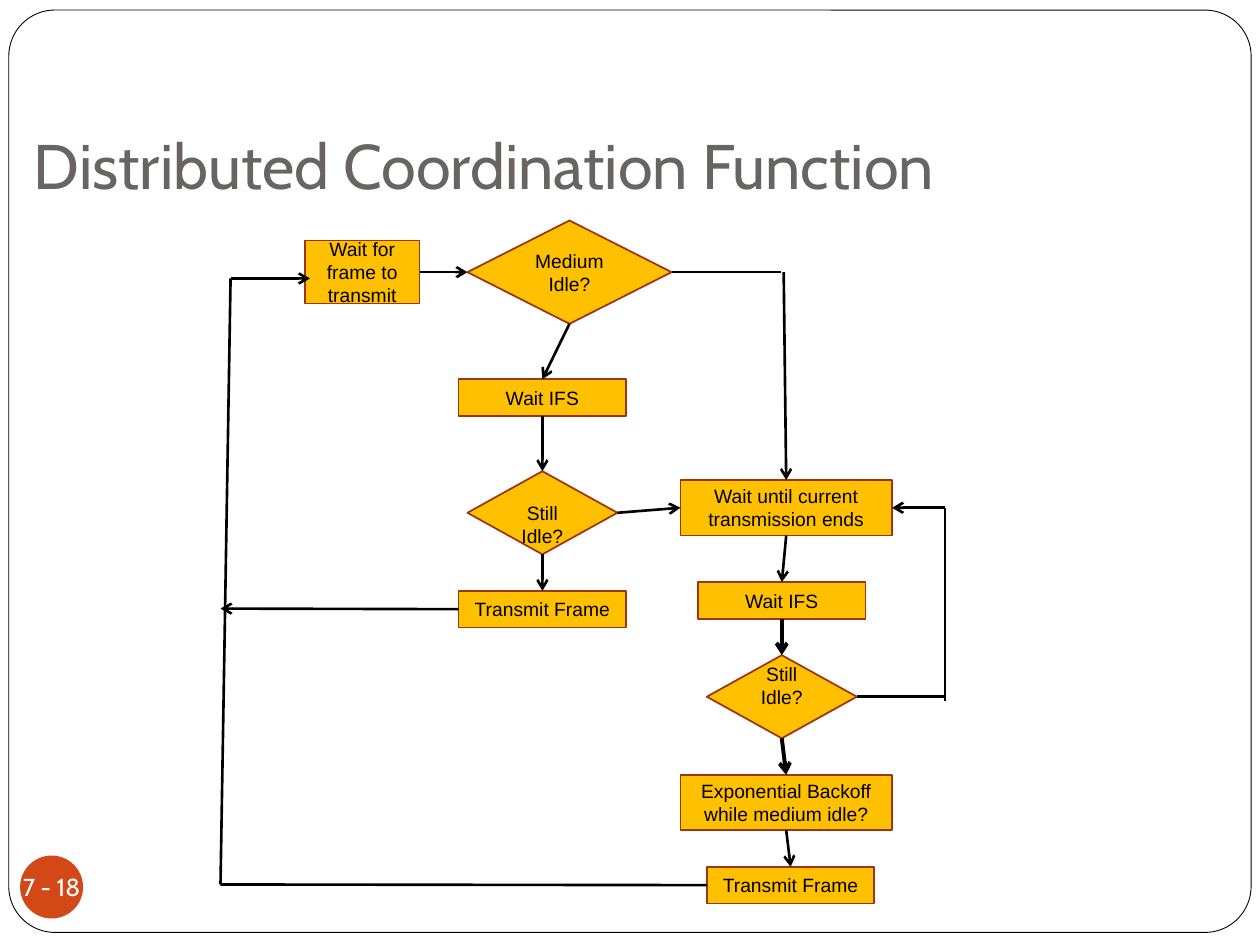
from lxml.etree import SubElement
from pptx import Presentation
from pptx.dml.color import RGBColor
from pptx.enum.shapes import MSO_CONNECTOR as Connector, MSO_SHAPE as Shape
from pptx.enum.text import MSO_ANCHOR as Anchor, PP_ALIGN as Align
from pptx.oxml.ns import qn
from pptx.util import Inches, Pt

THEME = {
    "white": "FFFFFF", "black": "000000", "title": "696464",
    "badge": "D34817", "node": "FFC000", "node_line": "9C3511",
    "heading_font": "Cabin", "node_font": "Arial",
    "title_size": 36, "badge_size": 14, "node_size": 11,
    "frame_width": 0.5, "node_width": 1, "arrow_width": 1.5, "thick_width": 2.25,
}
TITLE = "Distributed Coordination Function"
PAGE = "7 - 18"

PROCESS, DECISION = Shape.FLOWCHART_PROCESS, Shape.FLOWCHART_DECISION
SMALL, WIDE, DIAMOND = (1.33, 0.29), (1.68, 0.44), (1.19, 0.66)
LOWERED, RAISED = {"margin_top": 0.23}, {"margin_bottom": 0.23}

# name: (preset, left and top, size, paragraphs, margins in inches)
NODES = {
    "frame": (PROCESS, (2.42, 1.91), (0.91, 0.5), ["Wait for frame to transmit"], {}),
    "medium": (DECISION, (3.71, 1.75), (1.62, 0.82), ["Medium Idle?"], {}),
    "first wait": (PROCESS, (3.64, 3.01), SMALL, ["Wait IFS"], {}),
    "busy": (PROCESS, (5.4, 3.81), WIDE, ["Wait until current transmission ends"], {}),
    "second check": (DECISION, (5.61, 5.2), DIAMOND, ["Still", "Idle?"], RAISED),
    "first check": (DECISION, (3.71, 3.74), DIAMOND, ["Still", "Idle?"], LOWERED),
    "first send": (PROCESS, (3.64, 4.69), SMALL, ["Transmit Frame"], {}),
    "second wait": (PROCESS, (5.54, 4.62), SMALL, ["Wait IFS"], {}),
    "second send": (PROCESS, (5.61, 6.88), SMALL, ["Transmit Frame"], {}),
    "backoff": (PROCESS, (5.4, 6.15), WIDE, ["Exponential Backoff", "while medium idle?"], {}),
}
# Connection sites, counted as the presets number them
TOP, LEFT, BOTTOM, RIGHT = range(4)
LINE, ARROW, THICK = ("arrow_width", False), ("arrow_width", True), ("thick_width", True)

# Each end is (node name, site) or a free point (x, y)
LINKS = [
    (("frame", RIGHT), ("medium", LEFT), ARROW),
    (("medium", BOTTOM), ("first wait", TOP), ARROW),
    (("first wait", BOTTOM), ("first check", TOP), ARROW),
    (("first check", BOTTOM), ("first send", TOP), ARROW),
    (("medium", RIGHT), (6.2, 2.16), LINE),
    ((6.22, 2.16), ("busy", TOP), ARROW),
    (("first check", RIGHT), ("busy", LEFT), ARROW),
    (("busy", BOTTOM), ("second wait", TOP), ARROW),
    (("second wait", BOTTOM), ("second check", TOP), THICK),
    (("second check", BOTTOM), ("backoff", TOP), THICK),
    (("backoff", BOTTOM), ("second send", TOP), ARROW),
    (("second check", RIGHT), (7.5, 5.53), LINE),
    ((7.5, 5.56), (7.5, 4.03), LINE),
    ((7.5, 4.03), ("busy", RIGHT), ARROW),
    (("second send", LEFT), (1.75, 7.02), LINE),
    ((1.75, 7.02), (1.83, 2.21), LINE),
    ((1.83, 2.21), (2.46, 2.21), ARROW),
    (("first send", LEFT), (1.75, 4.83), ARROW),
]


def color(name):
    return RGBColor.from_string(THEME[name])


def write(shape, paragraphs, font, size, ink, align, **frame_format):
    frame = shape.text_frame
    for name, value in ({"word_wrap": True, "vertical_anchor": Anchor.MIDDLE} | frame_format).items():
        setattr(frame, name, value)
    frame.text = "\n".join(paragraphs)
    for paragraph in frame.paragraphs:
        paragraph.alignment = align
        for name, value in {"name": THEME[font], "size": Pt(THEME[size])}.items():
            setattr(paragraph.font, name, value)
        paragraph.font.color.rgb = color(ink)


def add_shape(slide, preset, box, fill, line=None, width=None):
    shape = slide.shapes.add_shape(preset, *map(Inches, box))
    shape.shadow.inherit = False
    shape.fill.solid()
    shape.fill.fore_color.rgb = color(fill)
    if line:
        shape.line.color.rgb = color(line)
        shape.line.width = Pt(THEME[width])
    else:
        shape.line.fill.background()
    return shape


def add_node(slide, preset, position, size, paragraphs, margins):
    node = add_shape(slide, preset, position + size, "node", "node_line", "node_width")
    insets = {side: Inches(value) for side, value in margins.items()}
    write(node, paragraphs, "node_font", "node_size", "black", Align.CENTER, **insets)
    return node


def add_link(slide, nodes, start, end, style):
    """Draw a straight line, glued to a node at each end that names one."""
    width, has_arrow = style
    points = [(0, 0) if point[0] in nodes else point for point in (start, end)]
    link = slide.shapes.add_connector(
        Connector.STRAIGHT, *(Inches(value) for point in points for value in point))
    for connect, (target, site) in ((link.begin_connect, start), (link.end_connect, end)):
        if target in nodes:
            connect(nodes[target], site)
    link.line.color.rgb = color("black")
    link.line.width = Pt(THEME[width])
    properties = link.line._get_or_add_ln()
    if has_arrow:
        SubElement(properties, qn("a:tailEnd"), type="arrow")
    SubElement(properties.getparent(), qn("a:effectLst"))


def main():
    presentation = Presentation()
    presentation.slide_width, presentation.slide_height = Inches(10), Inches(7.5)
    slide = presentation.slides.add_slide(presentation.slide_layouts[6])

    frame = add_shape(slide, Shape.ROUNDED_RECTANGLE, (0.07, 0.08, 9.86, 7.32),
                      "white", "black", "frame_width")
    frame.adjustments[0] = 0.05

    badge = add_shape(slide, Shape.OVAL, (0.16, 6.79, 0.5, 0.5), "badge")
    no_margins = dict.fromkeys(("margin_left", "margin_top", "margin_right", "margin_bottom"), 0)
    write(badge, [PAGE], "heading_font", "badge_size", "white", Align.CENTER,
          **no_margins | {"word_wrap": False})

    title = slide.shapes.add_textbox(*map(Inches, (0.17, 1.08, 8.5, 0.62)))
    write(title, [TITLE], "heading_font", "title_size", "title", Align.LEFT,
          vertical_anchor=Anchor.BOTTOM, margin_bottom=Inches(0.1))

    nodes = {name: add_node(slide, *node) for name, node in NODES.items()}
    for link in LINKS:
        add_link(slide, nodes, *link)
    presentation.save("out.pptx")


if __name__ == "__main__":
    main()
